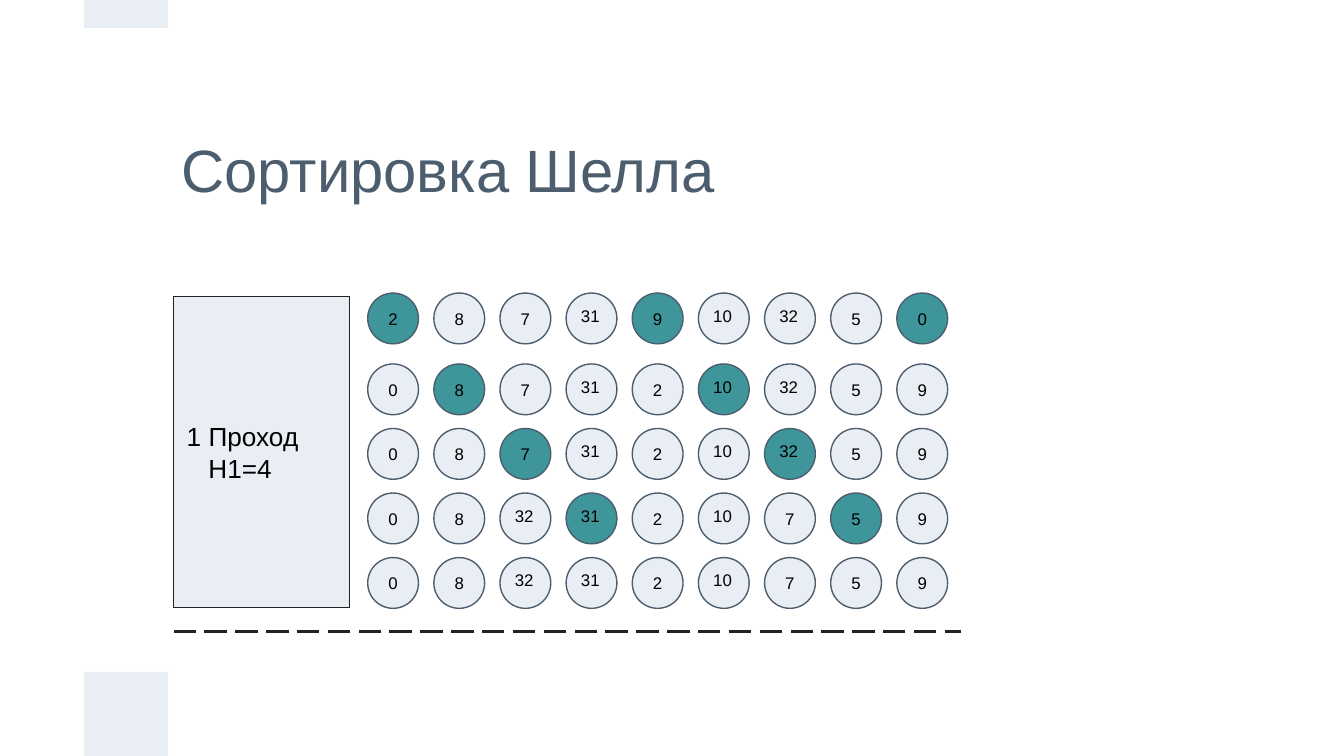
from pptx import Presentation
from pptx.dml.color import RGBColor as RGB
from pptx.enum.dml import MSO_LINE as Dash
from pptx.enum.shapes import MSO_CONNECTOR as Conn, MSO_SHAPE as Kind
from pptx.enum.text import MSO_ANCHOR as Anchor, PP_ALIGN as Align
from pptx.oxml.ns import qn
from pptx.util import Cm, Pt

HUES = {"pale": "E9EDF4", "teal": "3F969A", "slate": "4C5D6E",
        "ink": "222222", "black": "000000"}

deck = Presentation()
deck.slide_width, deck.slide_height = Cm(25.4), Cm(14.29)
slide = deck.slides.add_slide(deck.slide_layouts[6])
shapes = slide.shapes


def write(shape, text, size=9, hue="black", align=Align.LEFT,
          anchor=Anchor.MIDDLE):
    frame = shape.text_frame
    frame.word_wrap = True
    frame.vertical_anchor = anchor
    frame.margin_left = frame.margin_right = Cm(0.25)
    frame.margin_top = frame.margin_bottom = Cm(0.25)
    frame.text = text
    for para in frame.paragraphs:
        para.alignment = align
        para.font.name = "Arial"
        para.font.size = Pt(size)
        para.font.color.rgb = RGB.from_string(HUES[hue])


def draw(kind, left, top, width, height, fill="pale", line=None):
    shape = shapes.add_shape(kind, Cm(left), Cm(top), Cm(width), Cm(height))
    shape.shadow.inherit = False
    shape.fill.solid()
    shape.fill.fore_color.rgb = RGB.from_string(HUES[fill])
    if line:
        shape.line.color.rgb = RGB.from_string(HUES[line])
        shape.line.width = Pt(0.75)
    else:
        shape.line.fill.background()
    return shape


# Page bands and title
draw(Kind.RECTANGLE, 1.59, 12.7, 1.59, 1.59)
draw(Kind.RECTANGLE, 1.59, 0, 1.59, 0.53)
title = shapes.add_textbox(Cm(3.18), Cm(1.59), Cm(19.05), Cm(3.18))
write(title, "Сортировка Шелла", size=32, hue="slate")

# Array after each exchange, with the columns compared in that row
rows = [
    ([2, 8, 7, 31, 9, 10, 32, 5, 0], {0, 4, 8}),
    ([0, 8, 7, 31, 2, 10, 32, 5, 9], {1, 5}),
    ([0, 8, 7, 31, 2, 10, 32, 5, 9], {2, 6}),
    ([0, 8, 32, 31, 2, 10, 7, 5, 9], {3, 7}),
    ([0, 8, 32, 31, 2, 10, 7, 5, 9], set()),
]
size, step = 0.96, 1.25
tops = [5.54] + [6.88 + 1.22 * i for i in range(4)]
for top, (nums, marks) in zip(tops, rows):
    for col, num in enumerate(nums):
        left = 6.95 + step * col
        ball = draw(Kind.OVAL, left, top, size, size,
                    fill="teal" if col in marks else "pale", line="slate")
        if num < 10:
            write(ball, str(num), align=Align.CENTER)
        else:  # two digits need more room than the oval's text area
            label = shapes.add_textbox(Cm(left + 0.03), Cm(top + 0.04),
                                       Cm(size), Cm(0.53))
            write(label, str(num), anchor=Anchor.TOP)

# Pass label, its second line indented
box = draw(Kind.RECTANGLE, 3.28, 5.61, 3.33, 5.87, line="ink")
write(box, "1 Проход\nH1=4", size=14)
props = box.text_frame.paragraphs[1]._p.get_or_add_pPr()
props.set("marL", str(Cm(0.41)))

# Dashed rule under the rows
rule = shapes.add_connector(Conn.STRAIGHT, Cm(3.28), Cm(11.94),
                            Cm(18.16), Cm(11.94))
rule.line.color.rgb = RGB.from_string(HUES["ink"])
rule.line.width = Pt(1.5)
rule.line.dash_style = Dash.LONG_DASH
frame = rule._element.spPr
frame.append(frame.makeelement(qn("a:effectLst"), {}))

deck.save("out.pptx")
